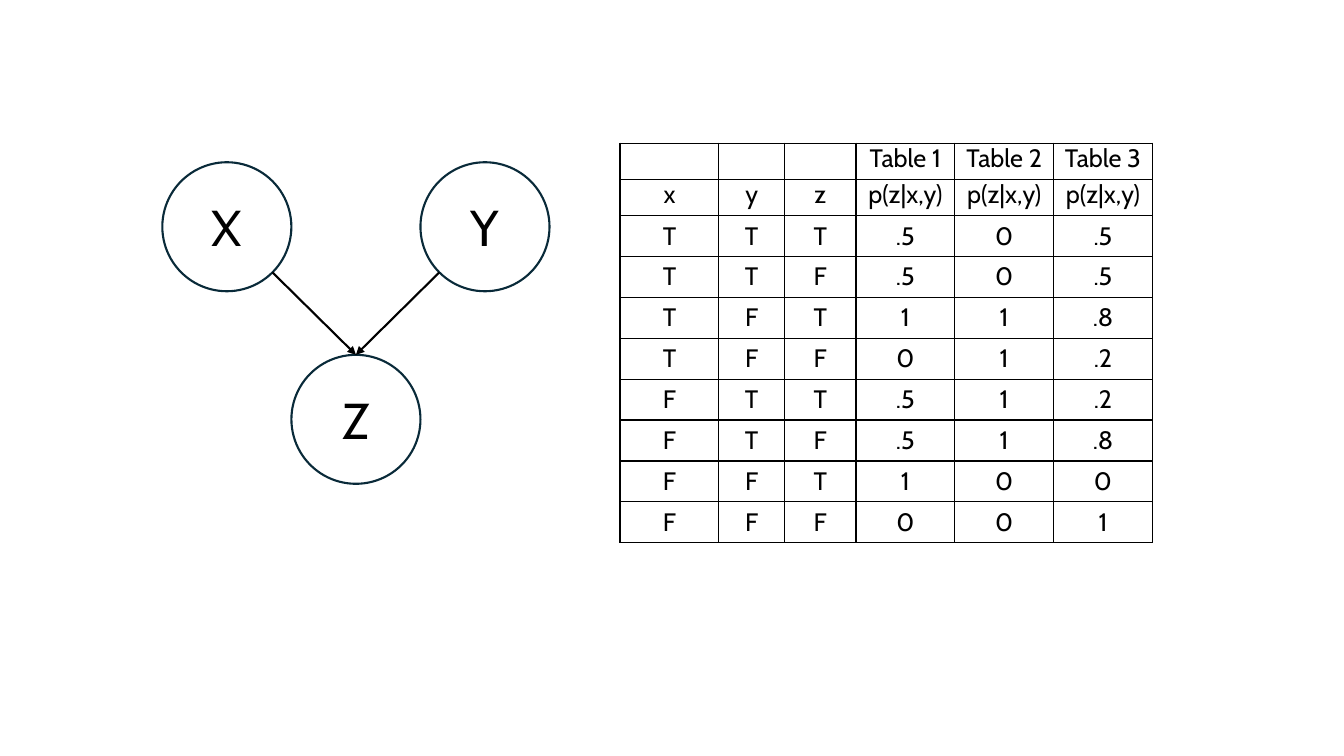
from math import sqrt

from lxml.etree import SubElement
from pptx import Presentation
from pptx.dml.color import RGBColor
from pptx.enum.shapes import MSO_CONNECTOR, MSO_SHAPE
from pptx.enum.text import MSO_ANCHOR, PP_ALIGN
from pptx.oxml.ns import qn
from pptx.util import Inches, Pt

FONT = "Cabin"
BLACK, WHITE, NAVY = "000000", "FFFFFF", "092A39"
DIAMETER = 1.28
NODE_LEFT, NODE_TOP, LEVEL_GAP = 1.61, 1.61, 1.91
ROW_HEIGHT = 0.36
COLUMN_WIDTHS = [0.98, 0.65, 0.71, 0.98, 0.98, 0.98]
HEADER_ROWS = [
    ["", "", "", "Table 1", "Table 2", "Table 3"],
    ["x", "y", "z"] + ["p(z|x,y)"] * 3,
]
PROBABILITY_ROWS = [
    ["T", "T", "T", ".5", "0", ".5"],
    ["T", "T", "F", ".5", "0", ".5"],
    ["T", "F", "T", "1", "1", ".8"],
    ["T", "F", "F", "0", "1", ".2"],
    ["F", "T", "T", ".5", "1", ".2"],
    ["F", "T", "F", ".5", "1", ".8"],
    ["F", "F", "T", "1", "0", "0"],
    ["F", "F", "F", "0", "0", "1"],
]


def color(value):
    return RGBColor.from_string(value)


def set_text(text_frame, text, size):
    """Write one centred black paragraph."""
    text_frame.text = text
    para = text_frame.paragraphs[0]
    para.alignment = PP_ALIGN.CENTER
    for span in para.runs:
        span.font.name = FONT
        span.font.size = Pt(size)
        span.font.color.rgb = color(BLACK)


def add_node(shapes, label, column, level):
    node = shapes.add_shape(
        MSO_SHAPE.OVAL,
        Inches(NODE_LEFT + column * DIAMETER),
        Inches(NODE_TOP + level * LEVEL_GAP),
        Inches(DIAMETER),
        Inches(DIAMETER),
    )
    node.shadow.inherit = False
    node.fill.solid()
    node.fill.fore_color.rgb = color(WHITE)
    node.line.color.rgb = color(NAVY)
    node.line.width = Pt(1.5)
    node.text_frame.vertical_anchor = MSO_ANCHOR.MIDDLE
    set_text(node.text_frame, label, 36)
    return node


def add_arrow(shapes, parent, child, side):
    """Run from the parent's lower edge (side 1 right, -1 left) to the child's top."""
    reach = parent.width / 2 / sqrt(2)
    start_x = int(parent.left + parent.width / 2 + side * reach)
    start_y = int(parent.top + parent.height / 2 + reach)
    arrow = shapes.add_connector(
        MSO_CONNECTOR.STRAIGHT, start_x, start_y, child.left, child.top
    )
    arrow.end_connect(child, 0)
    arrow.line.color.rgb = color(BLACK)
    arrow.line.width = Pt(1.5)
    SubElement(arrow.line._get_or_add_ln(), qn("a:tailEnd"), type="triangle")
    SubElement(arrow._element.spPr, qn("a:effectLst"))


def add_graph(slide):
    shapes = slide.shapes.add_group_shape().shapes
    cause_x = add_node(shapes, "X", 0, 0)
    cause_y = add_node(shapes, "Y", 2, 0)
    effect_z = add_node(shapes, "Z", 1, 1)
    add_arrow(shapes, cause_x, effect_z, 1)
    add_arrow(shapes, cause_y, effect_z, -1)


def set_borders(cell):
    properties = cell._tc.get_or_add_tcPr()
    for edge in ("lnL", "lnR", "lnT", "lnB"):
        line = SubElement(properties, qn(f"a:{edge}"), w=str(Pt(1)))
        fill = SubElement(line, qn("a:solidFill"))
        SubElement(fill, qn("a:srgbClr"), val=BLACK)


def add_probability_table(slide):
    rows = HEADER_ROWS + PROBABILITY_ROWS
    table = slide.shapes.add_table(
        len(rows),
        len(COLUMN_WIDTHS),
        Inches(6.15),
        Inches(1.42),
        Inches(sum(COLUMN_WIDTHS)),
        Inches(ROW_HEIGHT * len(rows)),
    ).table
    for column, width in zip(table.columns, COLUMN_WIDTHS):
        column.width = Inches(width)
    for row_index, values in enumerate(rows):
        for column_index, value in enumerate(values):
            cell = table.cell(row_index, column_index)
            set_text(cell.text_frame, value, 18)
            if row_index < len(HEADER_ROWS):
                cell.margin_left = cell.margin_right = 0
                cell.margin_top = cell.margin_bottom = 0
            set_borders(cell)
            cell.fill.solid()
            cell.fill.fore_color.rgb = color(WHITE)


def main():
    deck = Presentation()
    deck.slide_width, deck.slide_height = Inches(13.33), Inches(7.5)
    slide = deck.slides.add_slide(deck.slide_layouts[6])
    add_graph(slide)
    add_probability_table(slide)
    deck.save("out.pptx")


if __name__ == "__main__":
    main()
